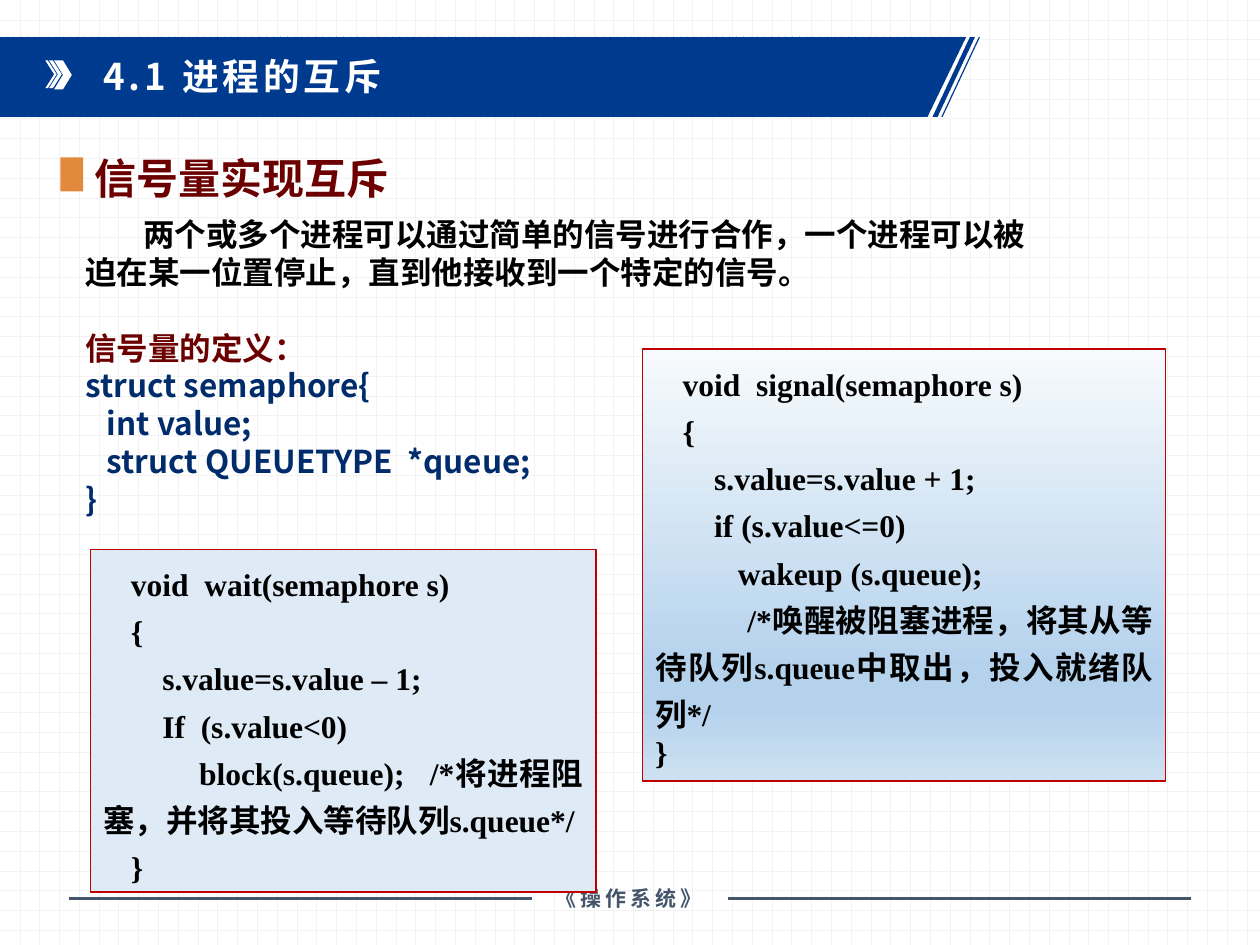
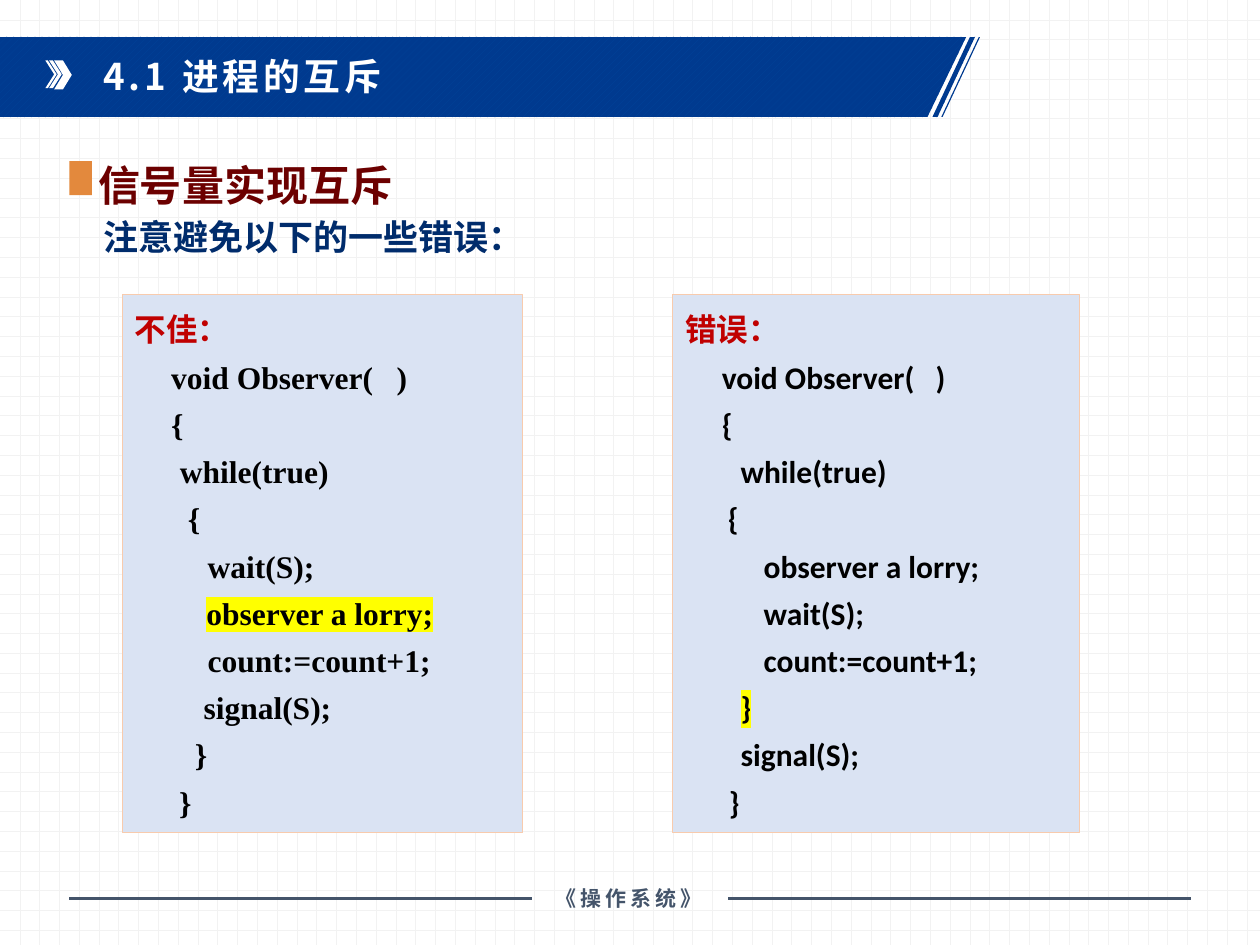
from copy import deepcopy

from lxml.etree import SubElement
from pptx import Presentation
from pptx.dml.color import RGBColor
from pptx.enum.dml import MSO_PATTERN
from pptx.enum.shapes import MSO_CONNECTOR, MSO_SHAPE
from pptx.enum.text import MSO_ANCHOR, MSO_AUTO_SIZE, PP_ALIGN
from pptx.oxml.ns import qn
from pptx.util import Inches, Pt

WHITE = RGBColor(0xFF, 0xFF, 0xFF)
BLACK = RGBColor(0x00, 0x00, 0x00)
GRID = RGBColor(0xF2, 0xF2, 0xF2)
BAND = RGBColor(0x00, 0x3A, 0x8F)
BAND_STRIPE = RGBColor(0x00, 0x44, 0x9A)
SLATE = RGBColor(0x44, 0x54, 0x6A)
MAROON = RGBColor(0x6C, 0x00, 0x00)
NAVY = RGBColor(0x00, 0x2C, 0x6C)
RED = RGBColor(0xC0, 0x00, 0x00)
ORANGE = RGBColor(0xE3, 0x89, 0x3D)
PEACH = RGBColor(0xF8, 0xCB, 0xAD)
YELLOW = RGBColor(0xFF, 0xFF, 0x00)
ICE = RGBColor(0xDE, 0xEB, 0xF7)
LAVENDER = RGBColor(0xDA, 0xE3, 0xF3)
SKY = RGBColor(0xB5, 0xD2, 0xEC)
SKY_STOPS = [
    (0, RGBColor(0xF7, 0xFA, 0xFD)),
    (0.74, SKY),
    (0.83, SKY),
    (1, RGBColor(0xCE, 0xE1, 0xF2)),
]

CJK = "Noto Sans CJK SC"
SERIF = "Times New Roman"
SANS = "Calibri"

# Each code line is (first-line indent in inches, text).
WAIT_LINES = [
    (0.22, "void  wait(semaphore s)"),
    (0.22, "{"),
    (0.22, "    s.value=s.value – 1;"),
    (0.22, "    If  (s.value<0)"),
    (0.22, "        block(s.queue);   /*将进程阻塞，并将其投入等待队列s.queue*/"),
    (0.22, "}"),
]
SIGNAL_LINES = [
    (0.22, "void  signal(semaphore s)"),
    (0.22, "{"),
    (0.22, "    s.value=s.value + 1;"),
    (0.22, "    if (s.value<=0)"),
    (0.22, "       wakeup (s.queue);"),
    (0.22, "        /*唤醒被阻塞进程，将其从等待队列s.queue中取出，投入就绪队列*/"),
]
POOR_LINES = [
    (0.29, "void Observer(   )"),
    (0.29, "{"),
    (0.36, "while(true)"),
    (0.36, " {"),
    (0.58, "wait(S);"),
    (0.57, "observer a lorry;"),
    (0.58, "count:=count+1;"),
    (0.36, "   signal(S);"),
    (0.29, "   }"),
    (0.29, " }"),
]
WRONG_LINES = [
    (0.29, "void Observer(   )"),
    (0.29, "{"),
    (0.44, "while(true)"),
    (0, "      {"),
    (0.51, "  observer a lorry;"),
    (0.51, "  wait(S);"),
    (0.51, "  count:=count+1;"),
    (0.44, "}"),
    (0.44, "signal(S);"),
    (0.29, " }"),
]


class Deck:
    """Holds the shared style and the slide being filled."""

    def __init__(self):
        self.prs = Presentation()
        self.prs.slide_width, self.prs.slide_height = Inches(10), Inches(7.5)
        self.s = None

    def new_slide(self, title):
        self.s = self.prs.slides.add_slide(self.prs.slide_layouts[6])
        self.pattern(self.s.background.fill, MSO_PATTERN.DOTTED_GRID, GRID, WHITE)
        self.title_band()
        self.footer("《操作系统》")
        tf = self.text_box(0.72, 0.42, 6.24, 0.56, grow=False)
        self.para(tf, title, 21, WHITE, line_spacing=0.9, tracking=2.2)

    def pattern(self, fill, kind, fore, back):
        fill.patterned()
        fill.pattern = kind
        fill.fore_color.rgb, fill.back_color.rgb = fore, back

    def title_band(self):
        top, bottom, slant = 0.29, 0.93, 0.3
        spans = [(7.77, 7.78), (7.7, 7.74)]
        stripes = [[(a, top), (b, top), (b - slant, bottom), (a - slant, bottom)]
                   for a, b in spans]
        body = [(0, top), (7.67, top), (7.36, bottom), (0, bottom)]
        band = self.outline(stripes + [body])
        self.pattern(band.fill, MSO_PATTERN.WIDE_UPWARD_DIAGONAL, BAND_STRIPE, BAND)

        top, middle, bottom, point = 0.48, 0.59, 0.7, 0.07
        self.shape(MSO_SHAPE.CHEVRON, 0.43, top, 0.14, 0.23, WHITE)
        for x, thick in [(0.39, 0.03), (0.36, 0.02)]:
            x2 = x + thick
            arrow = self.outline([[(x, top), (x2, top), (x2 + point, middle),
                                   (x2, bottom), (x, bottom), (x + point, middle)]])
            arrow.fill.solid()
            arrow.fill.fore_color.rgb = WHITE

    def footer(self, text):
        tf = self.text_box(4.21, 6.98, 1.56, 0.3)
        tf.vertical_anchor = MSO_ANCHOR.MIDDLE
        self.para(tf, text, 12, SLATE, "Arial", align=PP_ALIGN.CENTER, tracking=2.2)
        for x1, x2 in [(5.78, 9.45), (0.55, 4.22)]:
            self.rule(x1, x2, 7.13)

    def rule(self, x1, x2, y):
        line = self.s.shapes.add_connector(
            MSO_CONNECTOR.STRAIGHT, Inches(x1), Inches(y), Inches(x2), Inches(y))
        line.line.color.rgb = SLATE
        line.line.width = Pt(2)
        SubElement(line._element.spPr, qn("a:effectLst"))

    def outline(self, contours):
        """Add one unlined freeform made of closed contours, in inches."""
        contours = [[(Inches(x), Inches(y)) for x, y in c] for c in contours]
        builder = self.s.shapes.build_freeform(*contours[0][0])
        for i, (start, *rest) in enumerate(contours):
            if i:
                builder.move_to(*start)
            builder.add_line_segments(rest, close=True)
        sp = builder.convert_to_shape()
        sp.shadow.inherit = False
        sp.line.fill.background()
        return sp

    def shape(self, kind, x, y, w, h, fill, line=None):
        """Add a preset shape; fill is a colour or a list of gradient stops."""
        sp = self.s.shapes.add_shape(kind, Inches(x), Inches(y), Inches(w), Inches(h))
        sp.shadow.inherit = False
        if isinstance(fill, list):
            self.gradient(sp, fill)
        else:
            sp.fill.solid()
            sp.fill.fore_color.rgb = fill
        if line is None:
            sp.line.fill.background()
        else:
            sp.line.color.rgb = line
            sp.line.width = Pt(0.75)
        return sp

    def gradient(self, sp, stops):
        """Fill from top to bottom with (position, colour) stops."""
        sp.fill.gradient()
        sp.fill.gradient_angle = 270
        gs_list = sp._element.spPr.find(".//" + qn("a:gsLst"))
        while len(gs_list) < len(stops):
            gs_list.append(deepcopy(gs_list[0]))
        for stop, (position, color) in zip(sp.fill.gradient_stops, stops):
            stop.position = position
            stop.color.rgb = color

    def text_box(self, x, y, w, h, wrap=True, grow=True):
        box = self.s.shapes.add_textbox(Inches(x), Inches(y), Inches(w), Inches(h))
        tf = box.text_frame
        tf.word_wrap = wrap
        tf.auto_size = MSO_AUTO_SIZE.SHAPE_TO_FIT_TEXT if grow else MSO_AUTO_SIZE.NONE
        return tf

    def para(self, tf, text, size, color, font=CJK, align=PP_ALIGN.LEFT, indent=0,
             line_spacing=None, before=0, tracking=0, highlight=None):
        p = tf.paragraphs[0] if not tf.paragraphs[0].runs else tf.add_paragraph()
        p.alignment = align
        if line_spacing:
            p.line_spacing = line_spacing
        if before:
            p.space_before = Pt(before)
        if indent:
            pPr = p._p.get_or_add_pPr()
            pPr.set("marL", "0")
            pPr.set("indent", str(Inches(indent)))
        r = p.add_run()
        r.text = text
        r.font.size, r.font.bold = Pt(size), True
        r.font.color.rgb = color
        rPr = r._r.get_or_add_rPr()
        if tracking:
            rPr.set("spc", str(round(tracking * 100)))
        if highlight is not None:
            mark = SubElement(rPr, qn("a:highlight"))
            SubElement(mark, qn("a:srgbClr")).set("val", str(highlight))
        r.font.name = font
        SubElement(rPr, qn("a:ea")).set("typeface", CJK)

    def heading(self, text, x, y, h, marker_x, marker_y):
        tf = self.text_box(x, y, 2.56, h, wrap=False)
        self.para(tf, text, 24, MAROON, align=PP_ALIGN.JUSTIFY, line_spacing=1.25)
        self.shape(MSO_SHAPE.RECTANGLE, marker_x, marker_y, 0.18, 0.27, ORANGE)

    def code_box(self, x, y, w, h, fill, line, lines, font=SERIF, label=None, marked=None):
        """Add a framed listing; marked is the index of the highlighted line."""
        sp = self.shape(MSO_SHAPE.RECTANGLE, x, y, w, h, fill, line)
        tf = sp.text_frame
        tf.word_wrap = True
        tf.auto_size = MSO_AUTO_SIZE.SHAPE_TO_FIT_TEXT
        tf.vertical_anchor = MSO_ANCHOR.TOP
        style = dict(font=font, align=PP_ALIGN.JUSTIFY, line_spacing=1.25)
        if label:
            self.para(tf, label, 18, RED, **style)
        for i, (indent, text) in enumerate(lines):
            self.para(tf, text, 18, BLACK, indent=indent,
                      highlight=YELLOW if i == marked else None, **style)
        return tf


def semaphore_slide(deck):
    deck.new_slide("4.1 进程的互斥")
    deck.heading("信号量实现互斥", 0.65, 1.06, 0.57, 0.48, 1.25)
    tf = deck.text_box(0.58, 1.66, 7.67, 2.83)
    deck.para(tf, "两个或多个进程可以通过简单的信号进行合作，一个进程可以被迫在某一位置停止，"
                  "直到他接收到一个特定的信号。", 18, BLACK, indent=0.46)
    deck.para(tf, "信号量的定义：", 18, MAROON, before=21.6)
    for text in ["struct semaphore{", "   int value;", "   struct QUEUETYPE  *queue;", "}"]:
        deck.para(tf, text, 18, NAVY)
    deck.code_box(0.72, 4.36, 4.01, 2.72, ICE, RED, WAIT_LINES)
    tf = deck.code_box(5.1, 2.77, 4.15, 3.43, SKY_STOPS, RED, SIGNAL_LINES)
    deck.para(tf, "}", 18, BLACK, SERIF)


def mistakes_slide(deck):
    deck.new_slide("4.1 进程的互斥")
    deck.heading("信号量实现互斥", 0.68, 1.12, 0.61, 0.55, 1.28)
    tf = deck.text_box(0.72, 1.66, 3.9, 0.44)
    deck.para(tf, "注意避免以下的一些错误：", 20, NAVY)
    deck.code_box(0.97, 2.34, 3.18, 4.27, LAVENDER, PEACH, POOR_LINES,
                  label="不佳：", marked=5)
    deck.code_box(5.34, 2.34, 3.23, 4.27, LAVENDER, PEACH, WRONG_LINES,
                  font=SANS, label="错误：", marked=7)


def main():
    deck = Deck()
    semaphore_slide(deck)
    mistakes_slide(deck)
    deck.prs.save("out.pptx")


if __name__ == "__main__":
    main()
